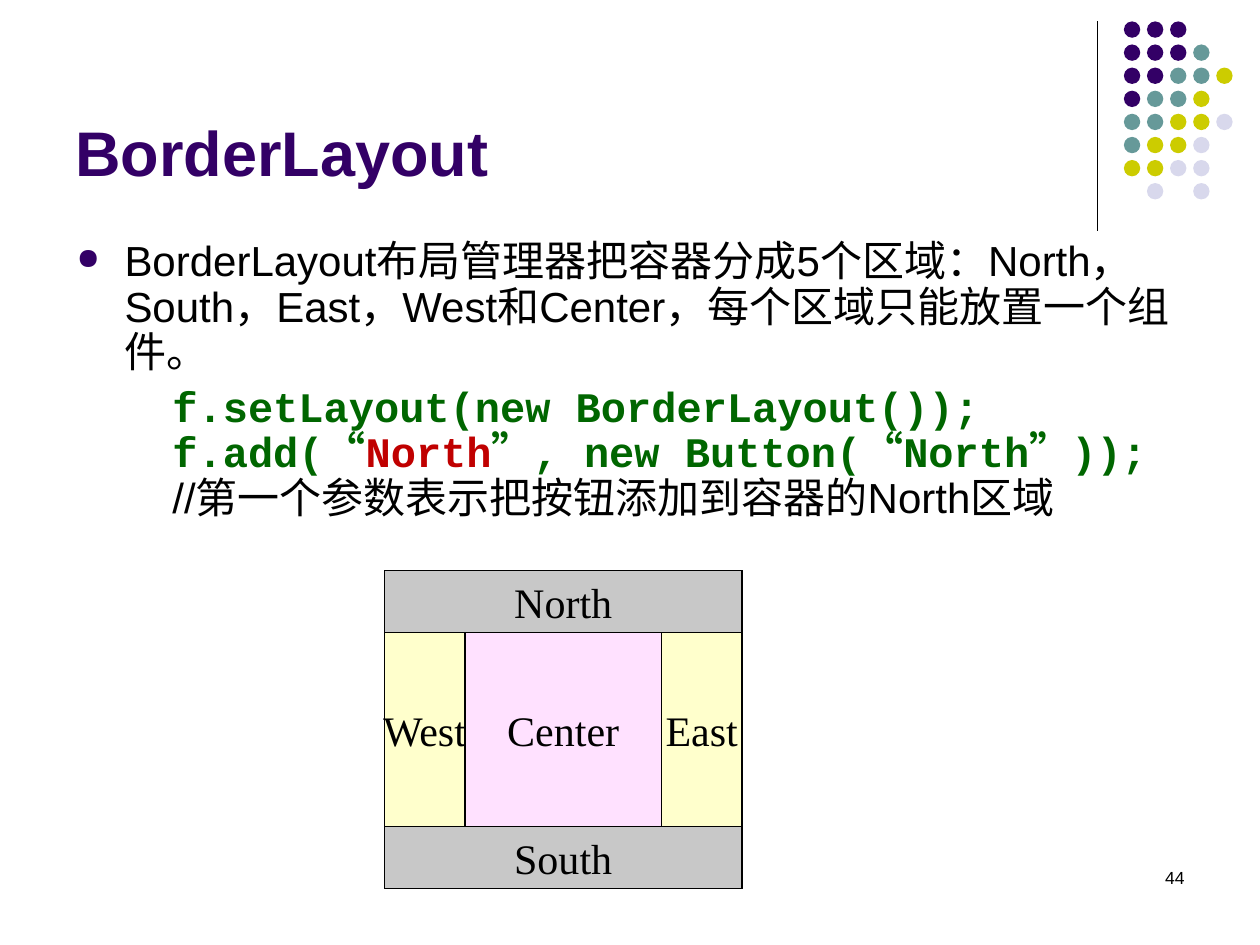
from typing import NamedTuple

import pptx
import pptx.dml.color
import pptx.enum.shapes
import pptx.enum.text
import pptx.oxml
import pptx.oxml.ns
import pptx.util
from lxml import etree

RGBColor = pptx.dml.color.RGBColor
Inches = pptx.util.Inches
Pt = pptx.util.Pt
Align = pptx.enum.text.PP_ALIGN
Anchor = pptx.enum.text.MSO_ANCHOR
Preset = pptx.enum.shapes.MSO_SHAPE

BLACK = RGBColor(0x00, 0x00, 0x00)
PURPLE = RGBColor(0x33, 0x00, 0x66)
TEAL = RGBColor(0x66, 0x99, 0x99)
OLIVE = RGBColor(0xCC, 0xCC, 0x00)
LAVENDER = RGBColor(0xD8, 0xD8, 0xEC)
GREEN = RGBColor(0x00, 0x66, 0x00)
RED = RGBColor(0xC0, 0x00, 0x00)
PINK = RGBColor(0xFF, 0xE1, 0xFF)
GREY = RGBColor(0xC8, 0xC8, 0xC8)
CREAM = RGBColor(0xFF, 0xFF, 0xCC)

# Dot ornament: one letter per dot, a space where there is none
DOT_ROWS = ("PPP", "PPPT", "PPTTO", "PTTO", "TTOOL", "TOOL", "OOLL", " L L")
DOT_COLORS = {"P": PURPLE, "T": TEAL, "O": OLIVE, "L": LAVENDER}
DOT_LEFT, DOT_TOP, DOT_SIZE = 8.92, 0.17, 0.13
DOT_PITCH = 0.55 / 3

# BorderLayout diagram
DIAGRAM_LEFT, DIAGRAM_TOP, DIAGRAM_WIDTH, DIAGRAM_HEIGHT = 3.05, 4.53, 2.84, 2.52
BAND = 0.49
SIDE = 0.64


class Box(NamedTuple):
    left: float
    top: float
    width: float
    height: float

    def lengths(self) -> list:
        return [Inches(value) for value in self]


class Region(NamedTuple):
    name: str
    box: Box
    fill: RGBColor


class Piece(NamedTuple):
    text: str
    font: str
    color: RGBColor
    bold: bool = False
    ends_line: bool = False


MIDDLE_TOP = DIAGRAM_TOP + BAND
MIDDLE_HEIGHT = DIAGRAM_HEIGHT - 2 * BAND
DIAGRAM_RIGHT = DIAGRAM_LEFT + DIAGRAM_WIDTH
DIAGRAM_BOTTOM = DIAGRAM_TOP + DIAGRAM_HEIGHT

# Center lies behind the four border regions
REGIONS = (
    Region("Center", Box(DIAGRAM_LEFT, DIAGRAM_TOP, DIAGRAM_WIDTH, DIAGRAM_HEIGHT), PINK),
    Region("North", Box(DIAGRAM_LEFT, DIAGRAM_TOP, DIAGRAM_WIDTH, BAND), GREY),
    Region("South", Box(DIAGRAM_LEFT, DIAGRAM_BOTTOM - BAND, DIAGRAM_WIDTH, BAND), GREY),
    Region("West", Box(DIAGRAM_LEFT, MIDDLE_TOP, SIDE, MIDDLE_HEIGHT), CREAM),
    Region("East", Box(DIAGRAM_RIGHT - SIDE, MIDDLE_TOP, SIDE, MIDDLE_HEIGHT), CREAM),
)

EXPLANATION = (
    "BorderLayout布局管理器把容器分成5个区域：North，South，East，West和Center，"
    "每个区域只能放置一个组件。"
)
CODE = (
    Piece("f.setLayout(new BorderLayout());", "Courier New", GREEN, True, True),
    Piece("f.add(“", "Courier New", GREEN, True),
    Piece("North", "Courier New", RED, True),
    Piece("”, new Button(“North”));", "Courier New", GREEN, True, True),
    Piece("//第一个参数表示把按钮添加到容器的North区域", "Arial", BLACK),
)


def style_font(font, name: str, size: float, color: RGBColor, bold: bool = False) -> None:
    font.name, font.size, font.bold = name, Pt(size), bold
    font.color.rgb = color


def add_text_frame(slide, box: Box, anchor=Anchor.TOP):
    frame = slide.shapes.add_textbox(*box.lengths()).text_frame
    frame.word_wrap = True
    frame.vertical_anchor = anchor
    return frame


def indent(paragraph, margin: float, first: float) -> None:
    properties = paragraph._p.get_or_add_pPr()
    properties.set("marL", str(Inches(margin)))
    properties.set("indent", str(Inches(first)))
    paragraph.line_spacing = 0.9
    paragraph.space_before = Pt(5.5)


def add_bullet(paragraph, color: RGBColor) -> None:
    properties = paragraph._p.get_or_add_pPr()
    qn = pptx.oxml.ns.qn
    bullet_color = etree.SubElement(properties, qn("a:buClr"))
    etree.SubElement(bullet_color, qn("a:srgbClr"), val=str(color))
    etree.SubElement(properties, qn("a:buSzPct"), val="70000")
    etree.SubElement(properties, qn("a:buChar"), char="●")


def add_dots(slide) -> None:
    for row, letters in enumerate(DOT_ROWS):
        for column, letter in enumerate(letters):
            if letter == " ":
                continue
            box = Box(DOT_LEFT + column * DOT_PITCH, DOT_TOP + row * DOT_PITCH, DOT_SIZE, DOT_SIZE)
            dot = slide.shapes.add_shape(Preset.OVAL, *box.lengths())
            dot.shadow.inherit = False
            dot.fill.solid()
            dot.fill.fore_color.rgb = DOT_COLORS[letter]
            dot.line.fill.background()


def add_divider(slide) -> None:
    divider = slide.shapes.add_connector(
        pptx.enum.shapes.MSO_CONNECTOR.STRAIGHT,
        Inches(8.71), Inches(0.17), Inches(8.71), Inches(1.83),
    )
    divider.line.color.rgb = BLACK
    divider.line.width = Pt(0.75)
    etree.SubElement(divider._element.spPr, pptx.oxml.ns.qn("a:effectLst"))


def add_region(slide, region: Region) -> None:
    panel = slide.shapes.add_shape(Preset.RECTANGLE, *region.box.lengths())
    panel.shadow.inherit = False
    panel.fill.solid()
    panel.fill.fore_color.rgb = region.fill
    panel.line.color.rgb = BLACK
    panel.line.width = Pt(0.75)
    frame = panel.text_frame
    frame.word_wrap = False
    frame.vertical_anchor = Anchor.MIDDLE
    label = frame.paragraphs[0]
    label.text = region.name
    label.alignment = Align.CENTER
    style_font(label.font, "Times New Roman", 24, BLACK)


def add_body(slide) -> None:
    frame = add_text_frame(slide, Box(0.51, 1.86, 8.98, 2.6))
    explanation = frame.paragraphs[0]
    explanation.text = EXPLANATION
    indent(explanation, 0.38, -0.38)
    add_bullet(explanation, PURPLE)
    style_font(explanation.font, "Arial", 24, BLACK)

    code = frame.add_paragraph()
    indent(code, 0.76, 0)
    for piece in CODE:
        run = code.add_run()
        run.text = piece.text
        style_font(run.font, piece.font, 24, piece.color, piece.bold)
        run.font.language_id = pptx.enum.lang.MSO_LANGUAGE_ID.SIMPLIFIED_CHINESE
        if piece.ends_line:
            code.add_line_break()


def add_line(slide, box: Box, text: str, size: float, color: RGBColor,
             bold: bool, align, anchor) -> None:
    line = add_text_frame(slide, box, anchor).paragraphs[0]
    line.text = text
    line.alignment = align
    style_font(line.font, "Arial", size, color, bold)


def main() -> None:
    deck = pptx.Presentation()
    deck.slide_width, deck.slide_height = Inches(10), Inches(7.5)
    slide = deck.slides.add_slide(deck.slide_layouts[6])

    # Corner ornament
    add_divider(slide)
    add_dots(slide)

    # Page number, title and body
    add_line(slide, Box(7.17, 6.83, 2.33, 0.5), "44", 10, BLACK, False, Align.RIGHT, Anchor.TOP)
    add_line(slide, Box(0.5, 0.13, 8.25, 1.42), "BorderLayout", 36, PURPLE, True,
             Align.LEFT, Anchor.BOTTOM)
    add_body(slide)

    # Diagram of the five regions
    for region in REGIONS:
        add_region(slide, region)

    deck.save("out.pptx")


if __name__ == "__main__":
    main()
